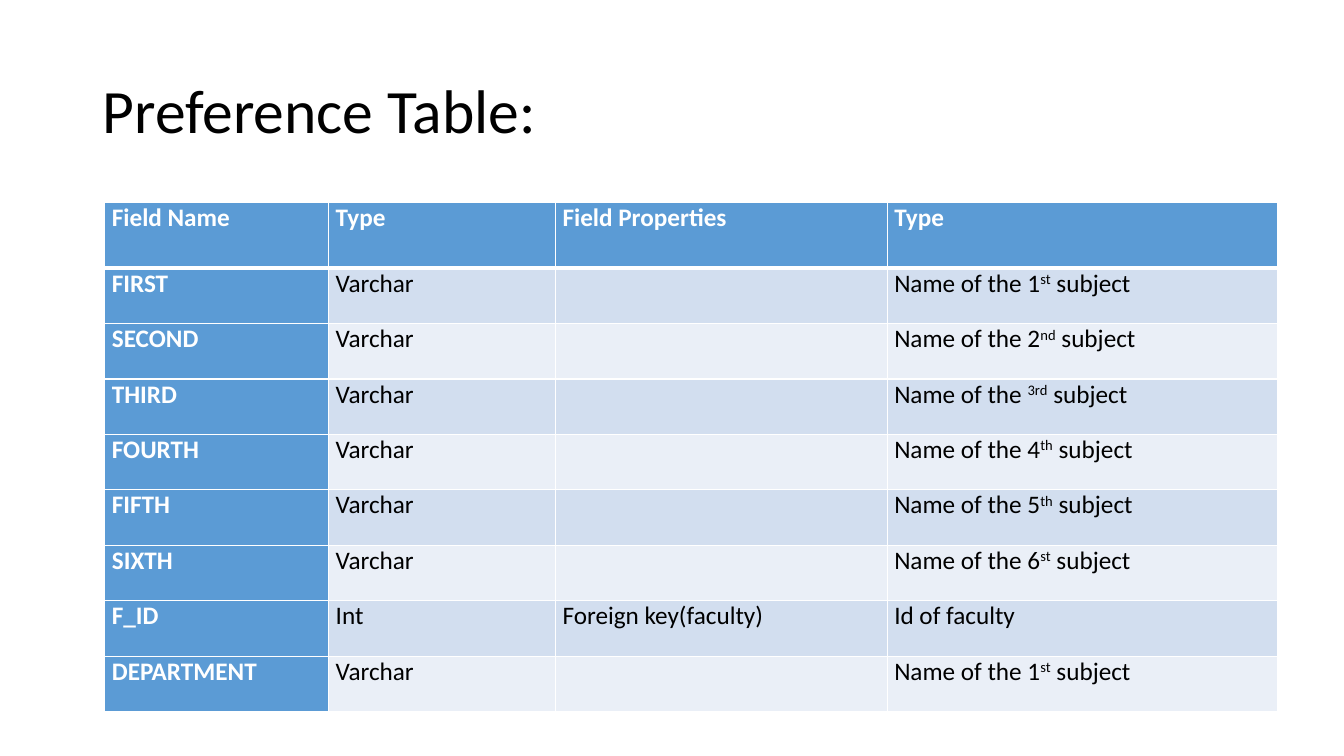
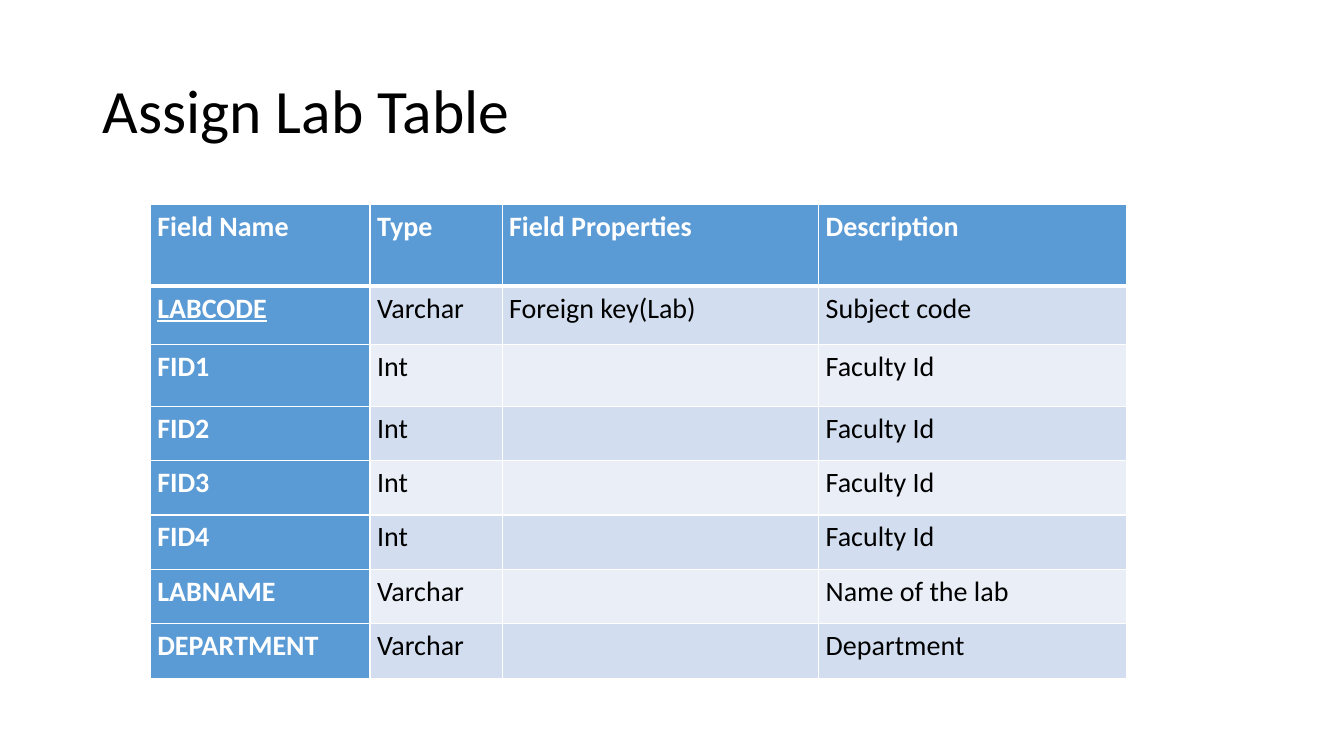
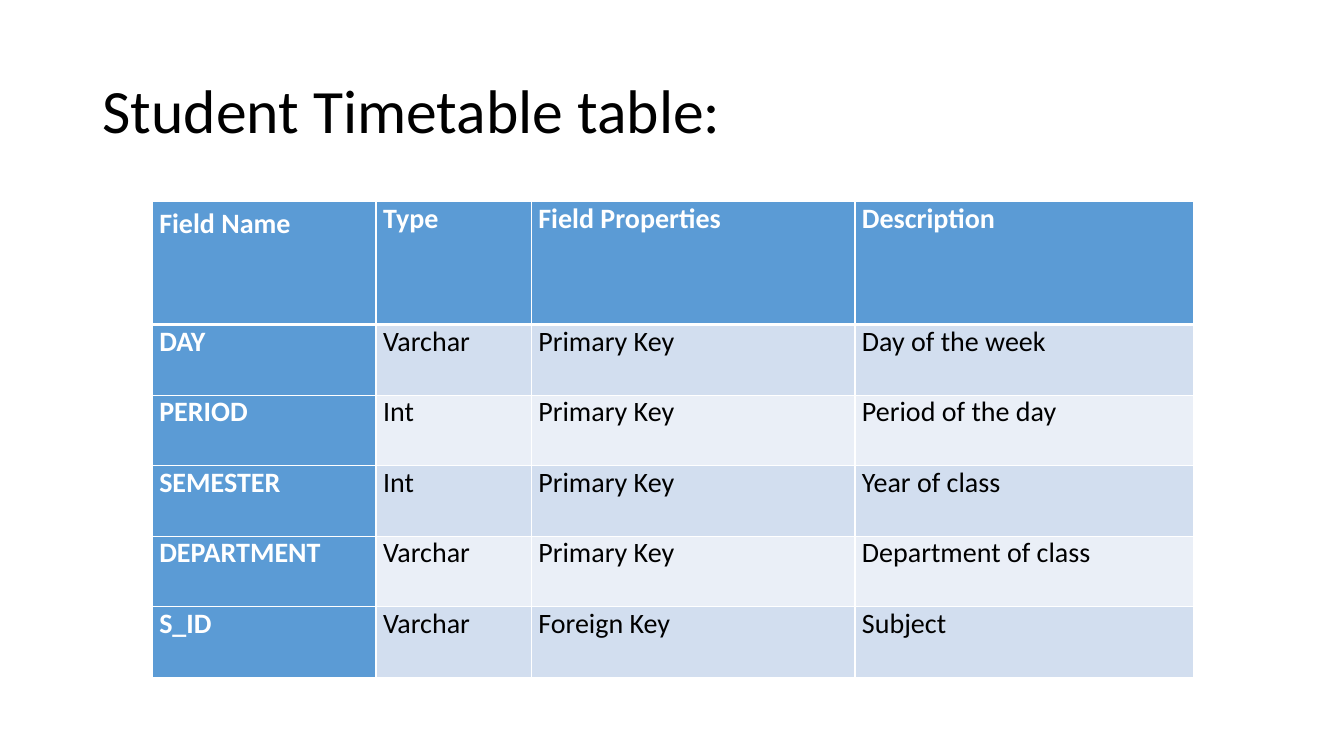
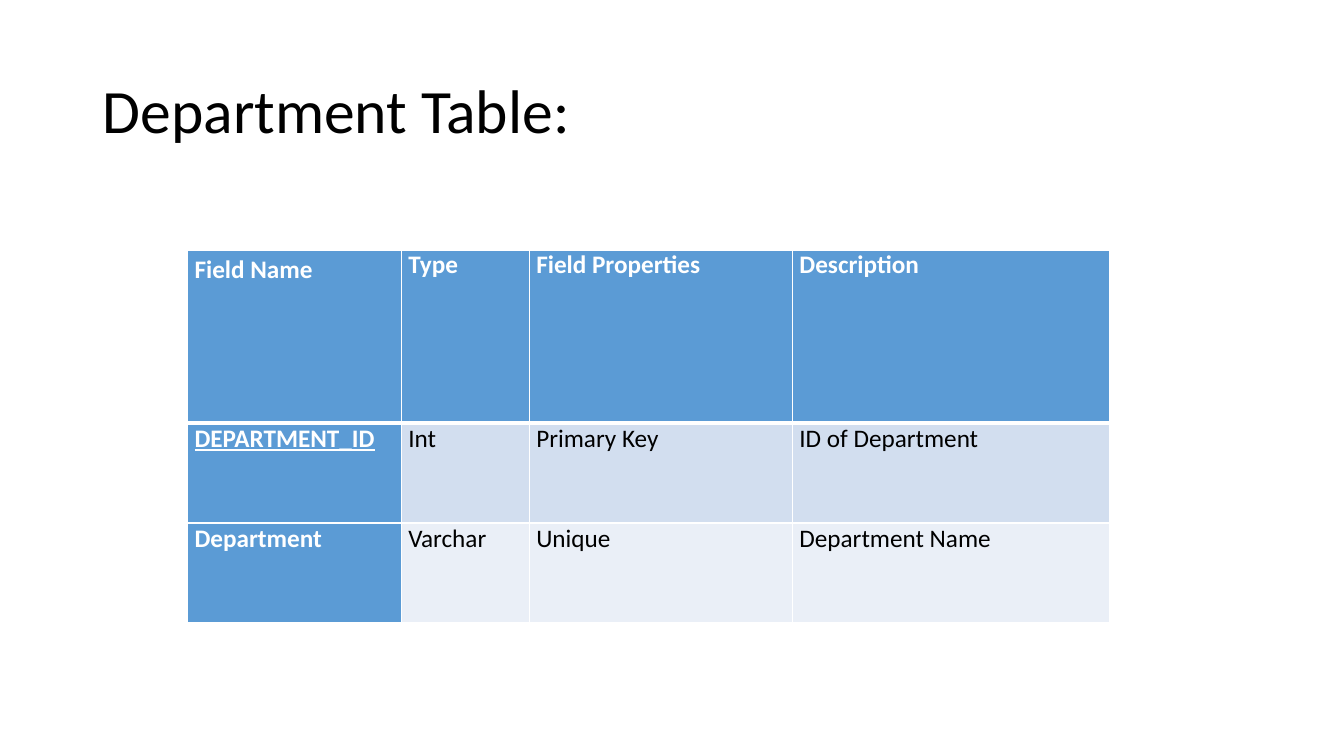
from pptx import Presentation
from pptx import util as u
from pptx.dml import color
from pptx.enum import text
from pptx.oxml import parse_xml
from pptx.oxml.ns import nsdecls

FONT = "Calibri"
BLACK, WHITE, BLUE = "000000", "FFFFFF", "5B9BD5"
BANDS = "D2DEEF", "EAEFF7"
UNDERLINED = {"LABCODE", "DEPARTMENT_ID"}
HEADER = ("Field Name", "Type", "Field Properties", "Description")

TABLES = [
    dict(
        title="Preference Table:", at=(1.04, 2.01), size=18,
        columns=[2.22, 2.25, 3.29, 3.87], heights=[0.65] + [0.55] * 8,
        rows=[
            ("Field Name", "Type", "Field Properties", "Type"),
            ("FIRST", "Varchar", "", "Name of the 1^st^ subject"),
            ("SECOND", "Varchar", "", "Name of the 2^nd^ subject"),
            ("THIRD", "Varchar", "", "Name of the ^3rd^ subject"),
            ("FOURTH", "Varchar", "", "Name of the 4^th^ subject"),
            ("FIFTH", "Varchar", "", "Name of the 5^th^ subject"),
            ("SIXTH", "Varchar", "", "Name of the 6^st^ subject"),
            ("F_ID", "Int", "Foreign key(faculty)", "Id of faculty"),
            ("DEPARTMENT", "Varchar", "", "Name of the 1^st^ subject"),
        ],
    ),
    dict(
        title="Assign Lab Table", at=(1.49, 2.03), size=20, spacing=1.15,
        columns=[2.18, 1.31, 3.14, 3.05],
        heights=[0.81, 0.58, 0.61] + [0.54] * 5,
        rows=[
            HEADER,
            ("LABCODE", "Varchar", "Foreign key(Lab)", "Subject code"),
            ("FID1", "Int", "", "Faculty Id"),
            ("FID2", "Int", "", "Faculty Id"),
            ("FID3", "Int", "", "Faculty Id"),
            ("FID4", "Int", "", "Faculty Id"),
            ("LABNAME", "Varchar", "", "Name of the lab"),
            ("DEPARTMENT", "Varchar", "", "Department"),
        ],
    ),
    dict(
        title="Student Timetable table:", at=(1.51, 2), size=20,
        first_cell=dict(spacing=1.15, after=10),
        columns=[2.22, 1.54, 3.21, 3.36], heights=[1.22] + [0.7] * 5,
        rows=[
            HEADER,
            ("DAY", "Varchar", "Primary Key", "Day of the week"),
            ("PERIOD", "Int", "Primary Key", "Period of the day"),
            ("SEMESTER", "Int", "Primary Key", "Year of class"),
            ("DEPARTMENT", "Varchar", "Primary Key", "Department of class"),
            ("S_ID", "Varchar", "Foreign Key", "Subject"),
        ],
    ),
    dict(
        title="Department Table:", at=(1.86, 2.48), size=18,
        first_cell=dict(spacing=1.15, after=10),
        columns=[2.12, 1.27, 2.61, 3.15], heights=[1.72, 0.99, 0.99],
        rows=[
            HEADER,
            ("DEPARTMENT_ID", "Int", "Primary Key", "ID of Department"),
            ("Department", "Varchar", "Unique", "Department Name"),
        ],
    ),
]


def rgb(value):
    return color.RGBColor.from_string(value)


def write(frame, content, size, ink=BLACK, bold=False, underline=False,
          spacing=1.0, after=0):
    para = frame.paragraphs[0]
    para.line_spacing = spacing
    para.space_after = u.Pt(after)
    para.font.size = u.Pt(size)
    for index, part in enumerate(content.split("^")):
        if not part:
            continue
        span = para.add_run()
        span.text = part
        font = span.font
        font.name, font.size, font.bold = FONT, u.Pt(size), bold
        font.underline = underline
        font.color.rgb = rgb(ink)
        if index % 2:
            font._element.set("baseline", "30000")


def add_borders(cell, **widths):
    properties = cell._tc.get_or_add_tcPr()
    for side in "LRTB":
        width = u.Pt(widths.get(side, 1))
        properties.append(parse_xml(
            f'<a:ln{side} {nsdecls("a")} w="{width}"><a:solidFill>'
            f'<a:srgbClr val="{WHITE}"/></a:solidFill></a:ln{side}>'))


def add_title(page, title):
    box = page.shapes.add_textbox(
        u.Inches(0.92), u.Inches(0.4), u.Inches(11.5), u.Inches(1.45))
    frame = box.text_frame
    frame.word_wrap = True
    frame.vertical_anchor = text.MSO_ANCHOR.MIDDLE
    write(frame, title, size=44, spacing=0.9)


def add_grid(page, at, size, columns, heights, rows, spacing=1.0,
             first_cell=None):
    left, top = at
    table = page.shapes.add_table(
        len(rows), len(columns), u.Inches(left), u.Inches(top),
        u.Inches(sum(columns)), u.Inches(sum(heights))).table
    for column, width in zip(table.columns, columns):
        column.width = u.Inches(width)
    for row, height in zip(table.rows, heights):
        row.height = u.Inches(height)
    for r, row in enumerate(rows):
        for c, content in enumerate(row):
            cell = table.cell(r, c)
            strong = r == 0 or c == 0
            cell.margin_left = cell.margin_right = u.Inches(0.07)
            cell.margin_top = cell.margin_bottom = 0
            add_borders(cell, T=3 if r == 1 else 1, B=3 if r == 0 else 1)
            cell.fill.solid()
            cell.fill.fore_color.rgb = rgb(BLUE if strong else BANDS[(r - 1) % 2])
            style = dict(spacing=spacing)
            if r == c == 0:
                style.update(first_cell or {})
            write(cell.text_frame, content, size, bold=strong,
                  ink=WHITE if strong else BLACK,
                  underline=content in UNDERLINED, **style)


def main():
    deck = Presentation()
    deck.slide_width, deck.slide_height = u.Inches(13.33), u.Inches(7.5)
    for entry in TABLES:
        page = deck.slides.add_slide(deck.slide_layouts[6])
        grid = dict(entry)
        add_title(page, grid.pop("title"))
        add_grid(page, **grid)
    deck.save("out.pptx")


if __name__ == "__main__":
    main()
